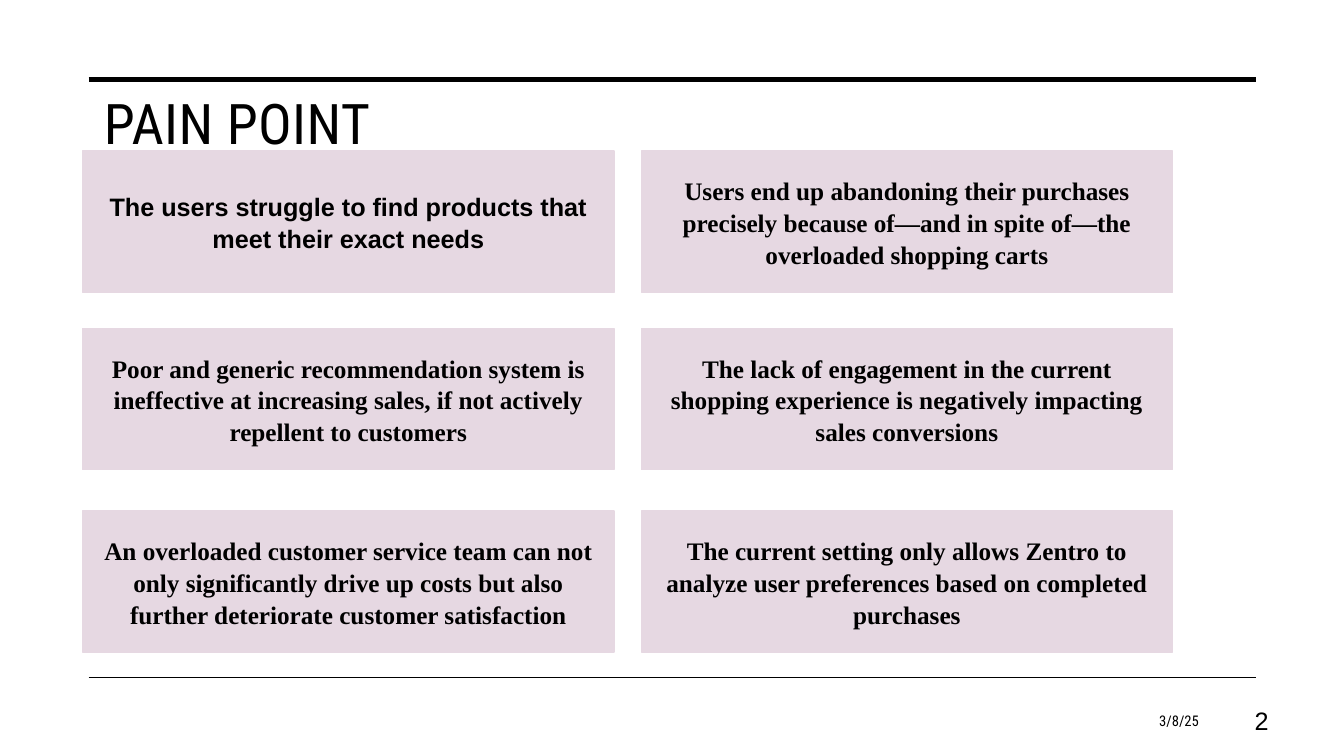
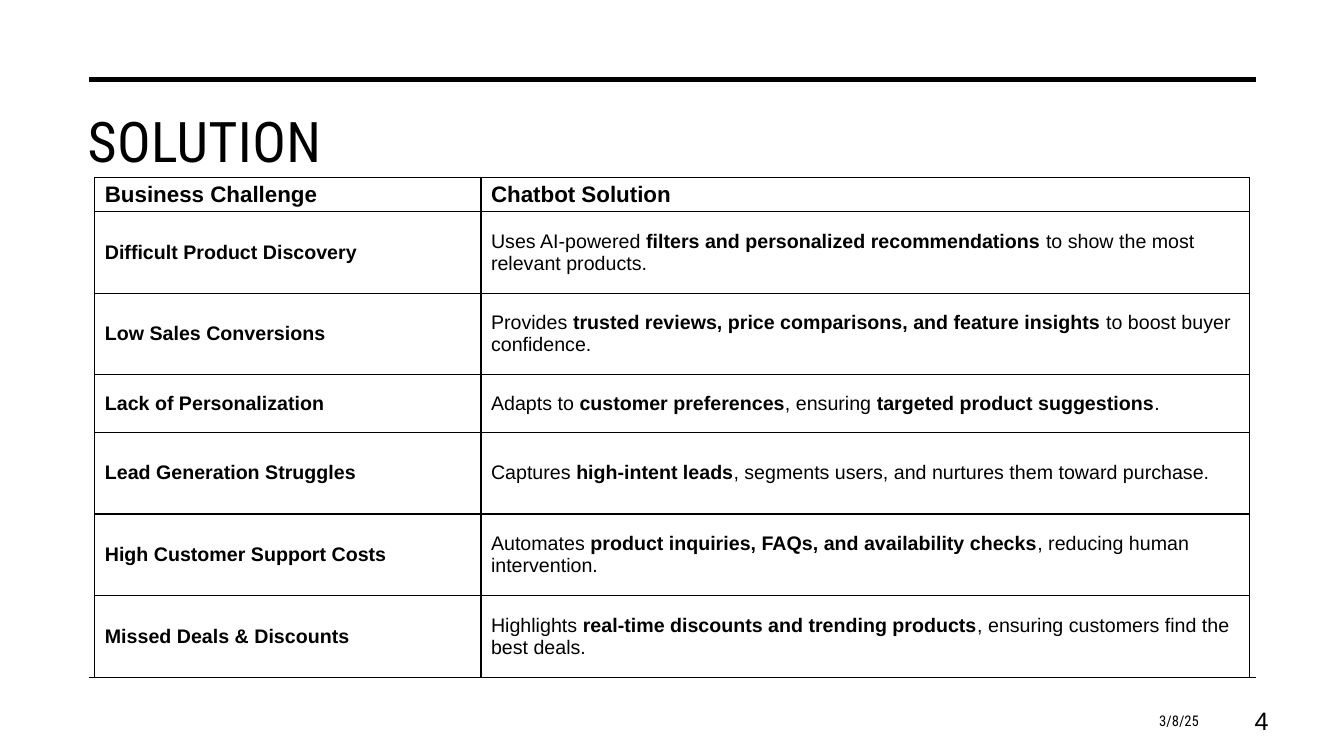
from dataclasses import dataclass

from lxml import etree
from pptx import Presentation
from pptx.dml.color import RGBColor
from pptx.enum.shapes import MSO_CONNECTOR, MSO_SHAPE
from pptx.enum.text import MSO_ANCHOR, MSO_AUTO_SIZE, PP_ALIGN
from pptx.oxml.ns import qn
from pptx.util import Pt

PX = 9144
LEFT, CENTER, RIGHT = PP_ALIGN.LEFT, PP_ALIGN.CENTER, PP_ALIGN.RIGHT
TOP, MIDDLE = MSO_ANCHOR.TOP, MSO_ANCHOR.MIDDLE
NO_FIT = MSO_AUTO_SIZE.NONE
STRAIGHT, RECT = MSO_CONNECTOR.STRAIGHT, MSO_SHAPE.RECTANGLE
TITLE_ONLY = 5


@dataclass(frozen=True)
class Theme:
    ink: RGBColor = RGBColor(0x00, 0x00, 0x00)
    card: RGBColor = RGBColor(0xE6, 0xD8, 0xE2)
    display: str = "Roboto Condensed"
    sans: str = "Arial"
    serif: str = "Times New Roman"
    title: float = 40
    card_text: float = 18
    table_head: float = 16
    table_body: float = 14
    date: float = 10.5
    number: float = 18
    rule: float = 3.5
    hairline: float = 1


def px(*values):
    return [v * PX for v in values]


def set_all(obj, values):
    for name, value in values.items():
        setattr(obj, name, value)


class Deck:
    def __init__(self, theme):
        self.theme = theme
        self.prs = Presentation()
        set_all(self.prs, {"slide_width": 1333 * PX, "slide_height": 750 * PX})
        self.s = None

    def put_text(self, tf, text, font, size, align=LEFT, anchor=MIDDLE, spacing=1.0):
        set_all(tf, {"word_wrap": True, "auto_size": NO_FIT, "vertical_anchor": anchor})
        p = tf.paragraphs[0]
        set_all(p, {"alignment": align, "line_spacing": spacing})
        for i, part in enumerate(text.split("*")):
            if part:
                r = p.add_run()
                r.text = part
                set_all(r.font, {"name": font, "size": Pt(size), "bold": i % 2 == 1})
                r.font.color.rgb = self.theme.ink
        return p

    def line(self, x1, y1, x2, y2, width):
        sp = self.s.shapes.add_connector(STRAIGHT, *px(x1, y1, x2, y2))
        sp.line.color.rgb = self.theme.ink
        sp.line.width = Pt(width)
        etree.SubElement(sp._element.spPr, qn("a:effectLst"))

    def label(self, box, text, font, size):
        sp = self.s.shapes.add_textbox(*px(*box))
        self.put_text(sp.text_frame, text, font, size, RIGHT)

    def slide(self, title, left, top, number):
        t = self.theme
        self.s = self.prs.slides.add_slide(self.prs.slide_layouts[TITLE_ONLY])
        sp = self.s.shapes.title
        set_all(sp, dict(zip(("left", "top", "width", "height"), px(left, top, 1169, 150))))
        p = self.put_text(sp.text_frame, title, t.display, t.title, anchor=TOP)
        p.runs[0].font._element.set("spc", "30")
        self.line(88, 79, 1246, 79, t.rule)
        self.line(88, 672, 1246, 672, t.hairline)
        self.label((915, 695, 284, 40), "3/8/25", t.display, t.date)
        self.label((1194, 695, 74, 40), number, t.sans, t.number)

    def card(self, box, text, font):
        sp = self.s.shapes.add_shape(RECT, *px(*box))
        sp.shadow.inherit = False
        sp.fill.solid()
        sp.fill.fore_color.rgb = self.theme.card
        sp.line.color.rgb = self.theme.card
        sp.line.width = Pt(self.theme.hairline)
        self.put_text(sp.text_frame, f"*{text}*", font, self.theme.card_text, CENTER,
                      spacing=1.05)

    def borders(self, cell):
        tc_pr = cell._tc.get_or_add_tcPr()
        for side in ("lnL", "lnR", "lnT", "lnB"):
            ln = etree.SubElement(tc_pr, qn(f"a:{side}"), w=str(Pt(self.theme.hairline)))
            fill = etree.SubElement(ln, qn("a:solidFill"))
            etree.SubElement(fill, qn("a:srgbClr"), val=str(self.theme.ink))

    def table(self, left, top, widths, heights, rows):
        t = self.theme
        box = px(left, top, sum(widths), sum(heights))
        tbl = self.s.shapes.add_table(len(rows), len(widths), *box).table
        set_all(tbl, {"first_row": False, "horz_banding": False})
        for col, width in zip(tbl.columns, widths):
            col.width = width * PX
        for i, (row, height, texts) in enumerate(zip(tbl.rows, heights, rows)):
            row.height = height * PX
            size = t.table_body if i else t.table_head
            for cell, text in zip(row.cells, texts):
                self.borders(cell)
                cell.fill.background()
                set_all(cell, {"margin_top": 4 * PX, "margin_bottom": 4 * PX,
                               "vertical_anchor": MIDDLE})
                self.put_text(cell.text_frame, text, t.sans, size)


PAIN_POINTS = [
    ("The users struggle to find products that meet their exact needs",
     "Users end up abandoning their purchases precisely because of—and in spite of—the "
     "overloaded shopping carts"),
    ("Poor and generic recommendation system is ineffective at increasing sales, if not "
     "actively repellent to customers",
     "The lack of engagement in the current shopping experience is negatively impacting "
     "sales conversions"),
    ("An overloaded customer service team can not only significantly drive up costs but "
     "also further deteriorate customer satisfaction",
     "The current setting only allows Zentro to analyze user preferences based on "
     "completed purchases"),
]

SOLUTIONS = [
    ("*Business Challenge*", "*Chatbot Solution*"),
    ("*Difficult Product Discovery*",
     "Uses AI-powered *filters and personalized recommendations* to show the most "
     "relevant products."),
    ("*Low Sales Conversions*",
     "Provides *trusted reviews, price comparisons, and feature insights* to boost buyer "
     "confidence."),
    ("*Lack of Personalization*",
     "Adapts to *customer preferences*, ensuring *targeted product suggestions*."),
    ("*Lead Generation Struggles*",
     "Captures *high-intent leads*, segments users, and nurtures them toward purchase."),
    ("*High Customer Support Costs*",
     "Automates *product inquiries, FAQs, and availability checks*, reducing human "
     "intervention."),
    ("*Missed Deals & Discounts*",
     "Highlights *real-time discounts and trending products*, ensuring customers find the "
     "best deals."),
]


def main():
    theme = Theme()
    deck = Deck(theme)

    deck.slide("PAIN POINT", 93, 83, "2")
    for i, (top, texts) in enumerate(zip((150, 326, 507), PAIN_POINTS)):
        for j, text in enumerate(texts):
            font = theme.sans if i == j == 0 else theme.serif
            deck.card((82 + 554 * j, top, 527, 140), text, font)

    deck.slide("SOLUTION", 77, 101, "4")
    deck.table(94, 176, (383, 762), (34, 81, 81, 57, 81, 81, 81), SOLUTIONS)

    deck.prs.save("out.pptx")


if __name__ == "__main__":
    main()
